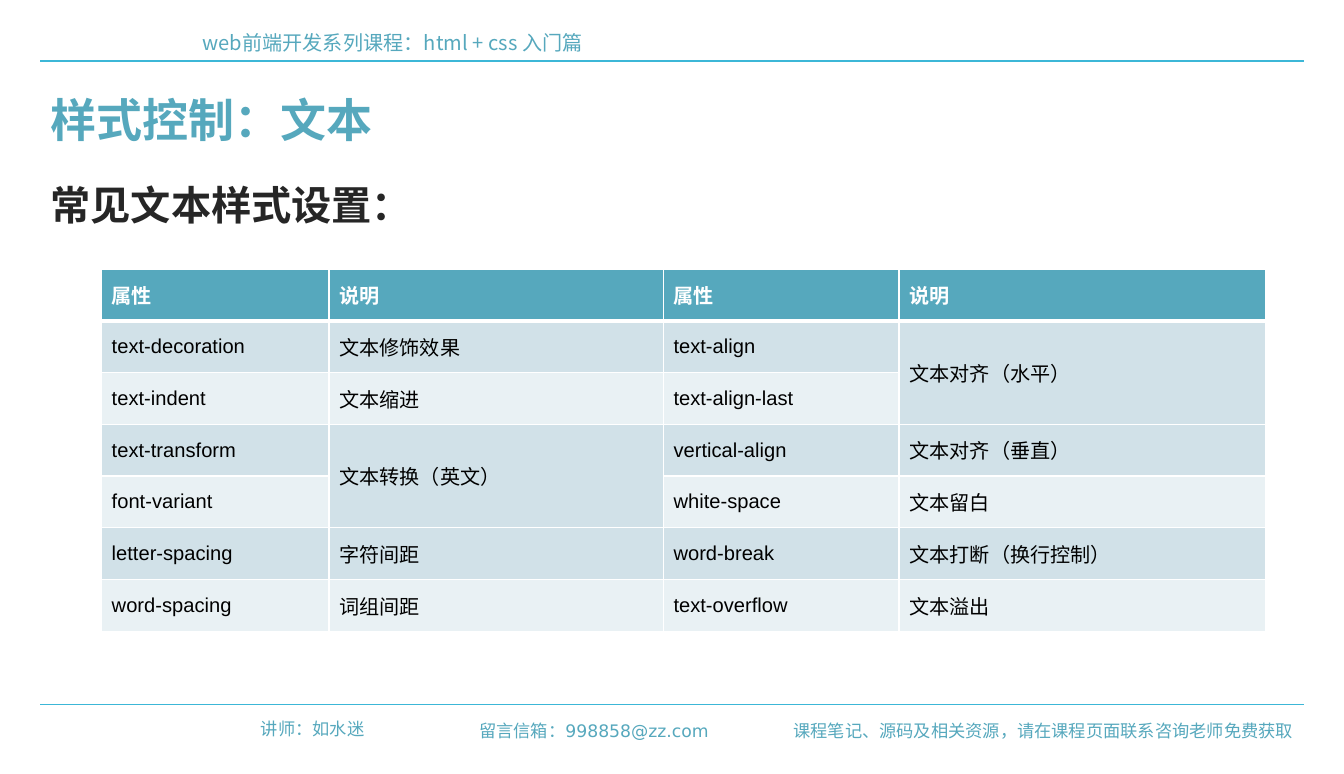
from lxml import etree
from pptx import Presentation
from pptx.dml.color import RGBColor
from pptx.enum.shapes import MSO_CONNECTOR
from pptx.enum.text import MSO_ANCHOR, PP_ALIGN
from pptx.oxml.ns import qn
from pptx.util import Inches, Pt

STRAIGHT = MSO_CONNECTOR.STRAIGHT
MIDDLE = MSO_ANCHOR.MIDDLE
LEFT, RIGHT = PP_ALIGN.LEFT, PP_ALIGN.RIGHT

COLORS = {
    "teal": "56A8BD", "rule": "3CB7D7", "ink": "262626", "black": "000000",
    "white": "FFFFFF", "band_dark": "D1E1E8", "band_light": "E9F1F4",
}
CJK, SANS, ARIAL = "Noto Sans CJK SC", "DejaVu Sans", "Arial"
SLIDE_WIDTH, SLIDE_HEIGHT = 12.99, 7.48
MARGIN = 0.39
RULE_TOPS = (0.59, 6.81)

FOOTER = {"font": SANS, "size": 12, "color": "teal", "align": RIGHT}
TEXTS = [
    ("web前端开发系列课程：html + css 入门篇", (1.86, 0.24, 10.51, 0.34),
     {"font": CJK, "size": 14, "color": "teal"}),
    ("讲师：如水迷", (2.24, 6.89, 1.38, 0.3), FOOTER),
    ("课程笔记、源码及相关资源，请在课程页面联系咨询老师免费获取", (7.52, 6.91, 5.08, 0.3), FOOTER),
    ("留言信箱：998858@zz.com", (4.29, 6.91, 2.66, 0.3), FOOTER),
    ("常见文本样式设置：", (MARGIN, 1.69, 6.65, 0.57),
     {"font": CJK, "size": 28, "color": "ink", "bold": True}),
    ("样式控制：文本", (MARGIN, 0.83, 12.2, 0.64),
     {"font": SANS, "size": 32, "color": "teal", "bold": True}),
]

TABLE_LEFT, TABLE_TOP, ROW_HEIGHT = 0.98, 2.6, 0.5
COLUMN_WIDTHS = (2.2, 3.23, 2.28, 3.54)
ROWS = [
    ("属性", "说明", "属性", "说明"),
    ("text-decoration", "文本修饰效果", "text-align", "文本对齐（水平）"),
    ("text-indent", "文本缩进", "text-align-last", None),
    ("text-transform", "文本转换（英文）", "vertical-align", "文本对齐（垂直）"),
    ("font-variant", None, "white-space", "文本留白"),
    ("letter-spacing", "字符间距", "word-break", "文本打断（换行控制）"),
    ("word-spacing", "词组间距", "text-overflow", "文本溢出"),
]


def rgb(name):
    """Return the named colour."""
    return RGBColor.from_string(COLORS[name])


def write(frame, text, font, size, color, bold=False, align=LEFT):
    """Write one formatted line into a text frame."""
    paragraph = frame.paragraphs[0]
    paragraph.alignment = align
    run = paragraph.add_run()
    run.text = text
    for name, value in {"name": font, "size": Pt(size), "bold": bold}.items():
        setattr(run.font, name, value)
    run.font.color.rgb = rgb(color)
    east_asian = etree.Element(qn("a:ea"), typeface=CJK)
    run.font._element.find(qn("a:latin")).addnext(east_asian)


def add_rule(slide, top):
    """Draw a horizontal line between the margins."""
    left, right, height = Inches(MARGIN), Inches(SLIDE_WIDTH - MARGIN), Inches(top)
    rule = slide.shapes.add_connector(STRAIGHT, left, height, right, height)
    rule.line.color.rgb = rgb("rule")
    rule.line.width = Pt(0.75)
    etree.SubElement(rule._element.spPr, qn("a:effectLst"))


def add_text(slide, text, box, style):
    """Add a wrapped text box."""
    frame = slide.shapes.add_textbox(*map(Inches, box)).text_frame
    frame.word_wrap = True
    frame.vertical_anchor = MIDDLE
    write(frame, text, **style)


def set_borders(cell, widths):
    """Give a cell white borders with the width of each side in points."""
    properties = cell._tc.get_or_add_tcPr()
    for side, width in widths.items():
        line = etree.SubElement(properties, qn(f"a:ln{side}"), w=str(Pt(width)))
        fill = etree.SubElement(line, qn("a:solidFill"))
        etree.SubElement(fill, qn("a:srgbClr"), val=COLORS["white"])


def add_property_table(slide):
    """Add the banded table of text properties."""
    frame = slide.shapes.add_table(
        len(ROWS), len(COLUMN_WIDTHS), Inches(TABLE_LEFT), Inches(TABLE_TOP),
        Inches(sum(COLUMN_WIDTHS)), Inches(ROW_HEIGHT * len(ROWS)))
    table = frame.table
    for column, width in zip(table.columns, COLUMN_WIDTHS):
        column.width = Inches(width)
    for row_index, row in enumerate(ROWS):
        table.rows[row_index].height = Inches(ROW_HEIGHT)
        header = row_index == 0
        band = "teal" if header else ("band_light", "band_dark")[row_index % 2]
        for column_index, text in enumerate(row):
            cell = table.cell(row_index, column_index)
            cell.vertical_anchor = MIDDLE
            set_borders(cell, {"L": 1, "R": 1, "T": 3 if row_index == 1 else 1,
                               "B": 3 if header else 1})
            cell.fill.solid()
            cell.fill.fore_color.rgb = rgb(band)
            if text is None:
                table.cell(row_index - 1, column_index).merge(cell)
            else:
                write(cell.text_frame, text, ARIAL, 14,
                      "white" if header else "black", header)


def main():
    """Build and save the slide."""
    presentation = Presentation()
    presentation.slide_width = Inches(SLIDE_WIDTH)
    presentation.slide_height = Inches(SLIDE_HEIGHT)
    slide = presentation.slides.add_slide(presentation.slide_layouts[6])
    for top in RULE_TOPS:
        add_rule(slide, top)
    for text, box, style in TEXTS:
        add_text(slide, text, box, style)
    add_property_table(slide)
    presentation.save("out.pptx")


main()
